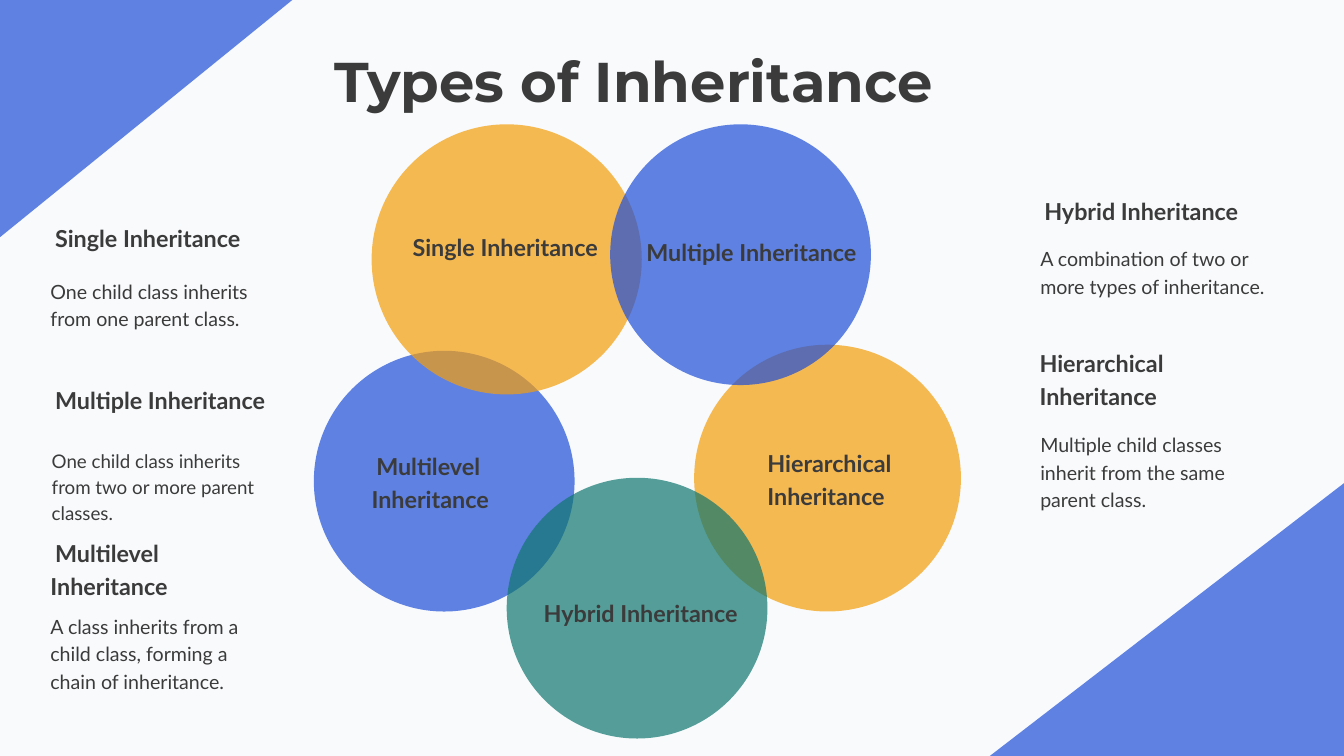
from lxml import etree
from pptx import Presentation
from pptx import util as u
from pptx.dml.color import RGBColor
from pptx.enum import shapes, text
from pptx.oxml.ns import qn

WIDTH, HEIGHT = 20, 11.25
INK, BLUE, AMBER, TEAL = "3B3B3B", "1D4ED8", "F59E0B", "0F766E"
LEFT_COLUMN, RIGHT_COLUMN = 0.75, 15.47
HEADING_WIDTH, NOTE_WIDTH = 3.3, 3.39
LEADING = 1.4

# left, top, diameter, colour
CIRCLES = [
    (4.67, 5.22, 3.88, BLUE),
    (5.53, 1.85, 4.02, AMBER),
    (10.33, 5.13, 3.97, AMBER),
    (9.08, 1.85, 3.88, BLUE),
    (7.54, 7.11, 3.88, TEAL),
]

# label, left, top, lines, first line indent
CIRCLE_LABELS = [
    ("Single Inheritance", 6.07, 3.4, 1, 0.07),
    ("Hybrid Inheritance", 8.02, 8.84, 1, 0.07),
    ("Multilevel Inheritance", 5.53, 6.66, 2, 0.07),
    ("Multiple Inheritance", 9.55, 3.48, 1, 0.07),
    ("Hierarchical Inheritance", 11.42, 6.62, 2, 0),
]

COLUMN_HEADINGS = [
    ("Single Inheritance", LEFT_COLUMN, 3.27, 1, 0.07),
    ("Multiple Inheritance", LEFT_COLUMN, 5.68, 1, 0.07),
    ("Multilevel Inheritance", LEFT_COLUMN, 7.96, 2, 0.07),
    ("Hybrid Inheritance", RIGHT_COLUMN, 2.86, 1, 0.07),
    ("Hierarchical Inheritance", RIGHT_COLUMN, 5.13, 2, 0),
]

# note, left, top, lines, size
NOTES = [
    ("One child class inherits from one parent class.", LEFT_COLUMN, 4.1, 2, 21),
    ("One child class inherits from two or more parent classes.", LEFT_COLUMN + 0.02, 6.63, 3, 20.1),
    ("A class inherits from a child class, forming a chain of inheritance.", LEFT_COLUMN, 9.09, 3, 21),
    ("A combination of two or more types of inheritance.", RIGHT_COLUMN + 0.01, 3.62, 2, 21),
    ("Multiple child classes inherit from the same parent class.", RIGHT_COLUMN + 0.01, 6.39, 3, 21),
]

CORNERS = [
    [(0, 0), (4.35, 0), (0, 3.53)],
    [(WIDTH, HEIGHT), (14.73, HEIGHT), (WIDTH, 7.19)],
]


def color(value):
    return RGBColor.from_string(value)


def paint(shape, fill, opacity=70):
    """Give a shape a translucent fill without line or shadow."""
    shape.shadow.inherit = False
    shape.line.fill.background()
    shape.fill.solid()
    shape.fill.fore_color.rgb = color(fill)
    tone = shape.fill._xPr.find(qn("a:solidFill"))[0]
    etree.SubElement(tone, qn("a:alpha"), val=str(opacity * 1000))


def add_circle(slide, left, top, diameter, fill):
    size = u.Inches(diameter)
    circle = slide.shapes.add_shape(
        shapes.MSO_SHAPE.OVAL, u.Inches(left), u.Inches(top), size, size)
    paint(circle, fill)


def add_corner(slide, points):
    start, *others = [(u.Inches(x), u.Inches(y)) for x, y in points]
    builder = slide.shapes.build_freeform(*start)
    builder.add_line_segments(others)
    paint(builder.convert_to_shape(), BLUE)


def write(box, words, left, top, width, lines, size, font="Lato", bold=False, indent=0):
    """Place a text holder and fill it with one left-aligned paragraph."""
    box.left, box.top, box.width = u.Inches(left), u.Inches(top), u.Inches(width)
    box.height = u.Pt(lines * size * LEADING)
    frame = box.text_frame
    frame.margin_left = frame.margin_top = frame.margin_right = frame.margin_bottom = 0
    frame.word_wrap = True
    frame.auto_size = text.MSO_AUTO_SIZE.NONE
    frame.vertical_anchor = text.MSO_ANCHOR.TOP
    para = frame.paragraphs[0]
    para.text = words
    para.alignment = text.PP_ALIGN.LEFT
    para.line_spacing = u.Pt(size * LEADING)
    if indent:
        para._p.get_or_add_pPr().set("indent", str(u.Inches(indent)))
    para.font.name = font
    para.font.size = u.Pt(size)
    para.font.bold = bold
    para.font.color.rgb = color(INK)


def add_text(slide, *args, **style):
    write(slide.shapes.add_textbox(0, 0, 0, 0), *args, **style)


def main():
    deck = Presentation()
    deck.slide_width, deck.slide_height = u.Inches(WIDTH), u.Inches(HEIGHT)
    slide = deck.slides.add_slide(deck.slide_layouts.get_by_name("Title Only"))
    slide.background.fill.solid()
    slide.background.fill.fore_color.rgb = color("F8FAFC")

    for circle in CIRCLES:
        add_circle(slide, *circle)
    write(slide.shapes.title, "Types of Inheritance", 4.98, 0.52, 11.04, 1, 60,
          font="Montserrat", bold=True)
    for words, left, top, lines, indent in CIRCLE_LABELS + COLUMN_HEADINGS:
        add_text(slide, words, left, top, HEADING_WIDTH, lines, 25, bold=True, indent=indent)
    for words, left, top, lines, size in NOTES:
        add_text(slide, words, left, top, NOTE_WIDTH, lines, size)
    for points in CORNERS:
        add_corner(slide, points)

    deck.save("out.pptx")


if __name__ == "__main__":
    main()
